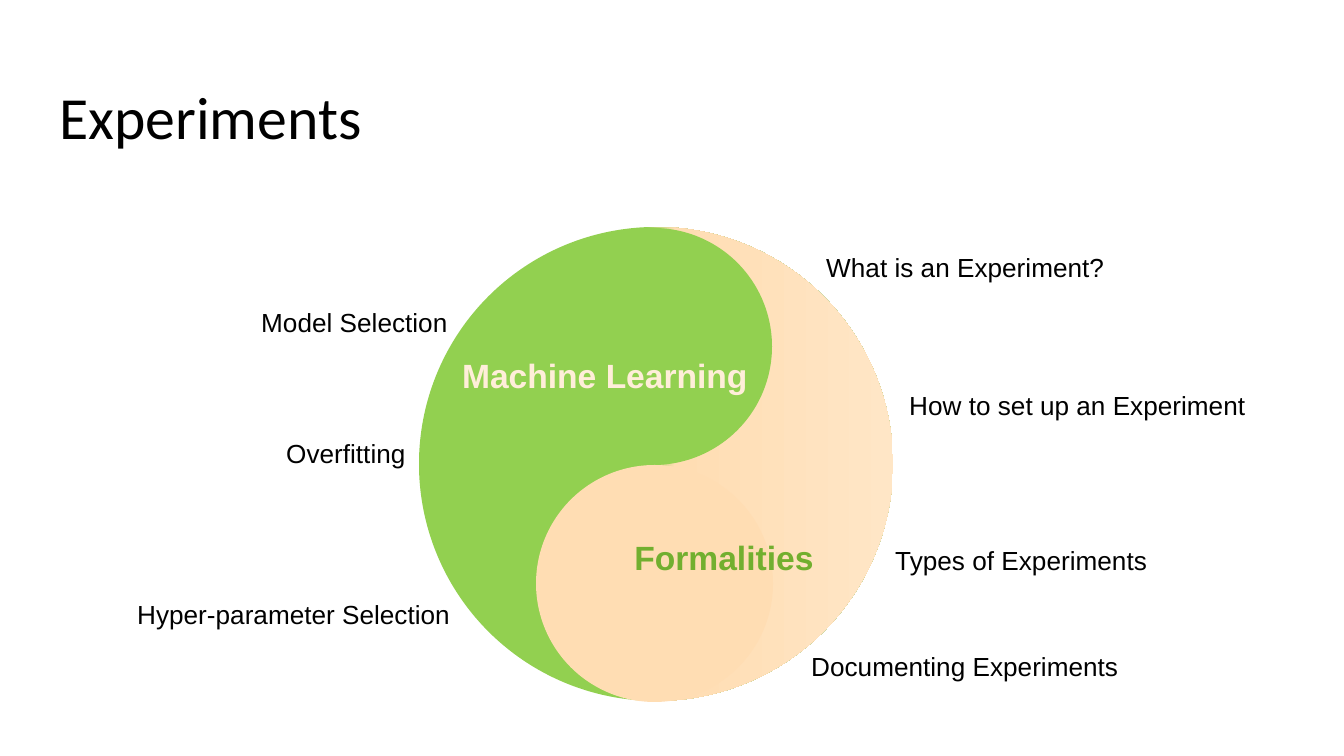
import copy

import pptx
import pptx.dml.color
import pptx.enum.shapes
import pptx.enum.text
import pptx.oxml.ns
import pptx.util

RGBColor = pptx.dml.color.RGBColor
ALIGN = pptx.enum.text.PP_ALIGN
ANCHOR = pptx.enum.text.MSO_ANCHOR
AUTO_SIZE = pptx.enum.text.MSO_AUTO_SIZE

SLIDE_WIDTH, SLIDE_HEIGHT = 1344, 756
EMU_PER_PX = 9144000 / SLIDE_WIDTH

BLACK = RGBColor(0x00, 0x00, 0x00)
GREEN = RGBColor(0x92, 0xD0, 0x50)
DARK_GREEN = RGBColor(0x72, 0xAF, 0x2F)
PEACH = RGBColor(0xFF, 0xDD, 0xB3)
LIGHT_PEACH = RGBColor(0xFF, 0xE6, 0xC6)
CREAM = RGBColor(0xFF, 0xEE, 0xD9)

TITLE_FONT = {"name": "Calibri", "size": pptx.util.Pt(32), "bold": False}
HALF_FONT = {"name": "Arial", "size": pptx.util.Pt(18), "bold": True}
TOPIC_FONT = {"name": "Arial", "size": pptx.util.Pt(14), "bold": False}

CIRCLE_LEFT, CIRCLE_TOP, CIRCLE_SIZE = 419, 227, 474
LOBE_SIZE = CIRCLE_SIZE // 2
GRADIENT = [(0, GREEN), (0.48, GREEN), (0.54, PEACH), (1, LIGHT_PEACH)]

# Text, left, top, width, height, colour
HALVES = [
    ("Formalities", 620, 530, 208, 54, DARK_GREEN),
    ("Machine Learning", 447, 348, 316, 54, CREAM),
]
# Text, left, top, width
TOPICS = [
    ("What is an Experiment?", 813, 245, 306),
    ("How to set up an Experiment", 896, 383, 366),
    ("Types of Experiments", 882, 538, 282),
    ("Documenting Experiments", 798, 644, 336),
    ("Overfitting", 273, 431, 146),
    ("Model Selection", 248, 300, 222),
    ("Hyper-parameter Selection", 124, 592, 341),
]
TOPIC_HEIGHT = 46


def px(length):
    return pptx.util.Emu(round(length * EMU_PER_PX))


def set_values(target, values):
    for name, value in values.items():
        setattr(target, name, value)


def write_text(box, text, font, colour, align, frame_values):
    frame = box.text_frame
    set_values(frame, frame_values)
    para = frame.paragraphs[0]
    para.alignment = align
    span = para.add_run()
    span.text = text
    set_values(span.font, font)
    span.font.color.rgb = colour


def add_title(page, text):
    title = page.shapes.title
    set_values(title, {"left": px(46), "top": px(66),
                       "width": px(1253), "height": px(85)})
    inset = pptx.util.Inches(0.1)
    write_text(title, text, TITLE_FONT, BLACK, ALIGN.LEFT, {
        "margin_left": inset, "margin_right": inset,
        "margin_top": inset, "margin_bottom": inset,
        "vertical_anchor": ANCHOR.TOP, "auto_size": AUTO_SIZE.NONE,
        "word_wrap": True})


def add_label(page, text, place, font, colour, align):
    box = page.shapes.add_textbox(*map(px, place))
    write_text(box, text, font, colour, align, {
        "word_wrap": False, "auto_size": AUTO_SIZE.SHAPE_TO_FIT_TEXT})


def add_circle(group, left, top, size, colour=None):
    circle = group.shapes.add_shape(pptx.enum.shapes.MSO_SHAPE.OVAL,
                                    px(left), px(top), px(size), px(size))
    circle.shadow.inherit = False
    circle.line.fill.background()
    if colour is not None:
        circle.fill.solid()
        circle.fill.fore_color.rgb = colour
    return circle


def fill_gradient(shape, stops):
    shape.fill.gradient()
    shape.fill.gradient_angle = 0
    # The default gradient has two stops, so add the missing ones
    stop_list = shape.element.spPr.find(".//" + pptx.oxml.ns.qn("a:gsLst"))
    while len(stop_list) < len(stops):
        stop_list.append(copy.deepcopy(stop_list[0]))
    for stop, (position, colour) in zip(shape.fill.gradient_stops, stops):
        stop.position = position
        stop.color.rgb = colour


def add_yin_yang(page):
    group = page.shapes.add_group_shape()
    disc = add_circle(group, CIRCLE_LEFT, CIRCLE_TOP, CIRCLE_SIZE)
    fill_gradient(disc, GRADIENT)
    lobe_left = CIRCLE_LEFT + LOBE_SIZE // 2 - 2
    add_circle(group, lobe_left, CIRCLE_TOP + 1, LOBE_SIZE, GREEN)
    add_circle(group, lobe_left + 1, CIRCLE_TOP + LOBE_SIZE + 1, LOBE_SIZE, PEACH)


def main():
    deck = pptx.Presentation()
    deck.slide_width, deck.slide_height = px(SLIDE_WIDTH), px(SLIDE_HEIGHT)
    page = deck.slides.add_slide(deck.slide_layouts[5])

    add_title(page, "Experiments")
    add_yin_yang(page)

    # Names of the two halves
    for text, left, top, width, height, colour in HALVES:
        add_label(page, text, (left, top, width, height),
                  HALF_FONT, colour, ALIGN.CENTER)

    # Topics around the circle
    for text, left, top, width in TOPICS:
        add_label(page, text, (left, top, width, TOPIC_HEIGHT),
                  TOPIC_FONT, BLACK, ALIGN.LEFT)

    deck.save("out.pptx")


if __name__ == "__main__":
    main()
